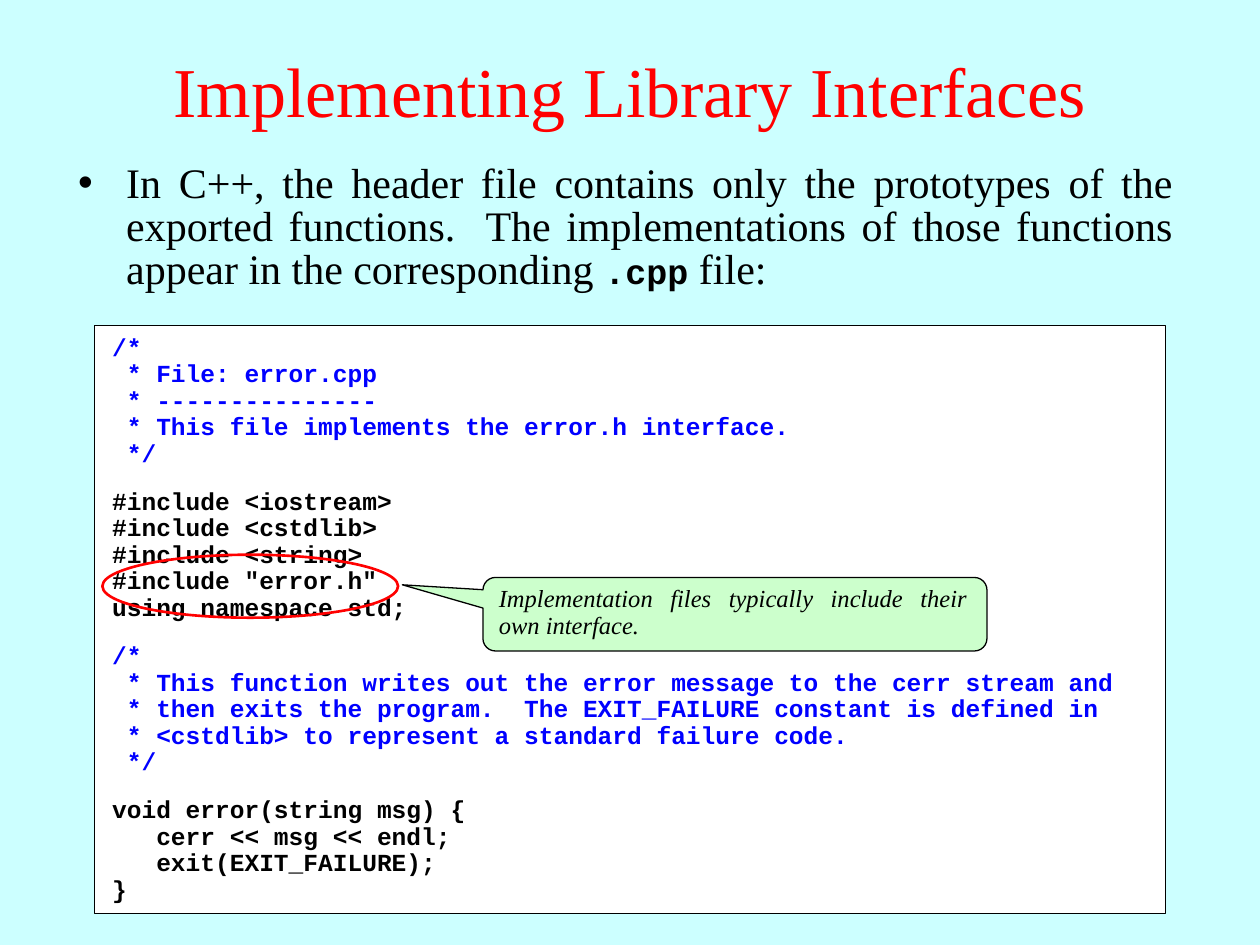
from lxml.etree import SubElement
from pptx import Presentation
from pptx.dml.color import RGBColor
from pptx.enum.shapes import MSO_SHAPE
from pptx.enum.text import MSO_ANCHOR, MSO_AUTO_SIZE, PP_ALIGN
from pptx.oxml.ns import qn
from pptx.util import Pt

COLORS = {
    "background": "CCFFFF",
    "title": "FF0000",
    "text": "000000",
    "comment": "0000FF",
    "panel": "FFFFFF",
    "callout": "CCFFCC",
    "highlight": "FF0000",
}
SERIF, MONO = "Times New Roman", "Courier New"
BLOCK_GAP = 12.4

FILE_COMMENT = """/*
 * File: error.cpp
 * ---------------
 * This file implements the error.h interface.
 */"""
INCLUDES = """#include <iostream>
#include <cstdlib>
#include <string>
#include "error.h"
using namespace std;"""
FUNCTION_COMMENT = """/*
 * This function writes out the error message to the cerr stream and
 * then exits the program.  The EXIT_FAILURE constant is defined in
 * <cstdlib> to represent a standard failure code.
 */"""
FUNCTION = """void error(string msg) {
   cerr << msg << endl;
   exit(EXIT_FAILURE);
}"""
CODE_BLOCKS = [
    ("comment", FILE_COMMENT),
    ("text", INCLUDES),
    ("comment", FUNCTION_COMMENT),
    ("text", FUNCTION),
]


def rgb(color):
    return RGBColor.from_string(COLORS[color])


def set_attributes(target, values):
    for name, value in values.items():
        setattr(target, name, value)


def place(shape, box):
    names = ("left", "top", "width", "height")
    set_attributes(shape, dict(zip(names, map(Pt, box))))


def add_run(paragraph, text, name, size, color="text", bold=False, italic=False):
    run = paragraph.add_run()
    run.text = text
    set_attributes(run.font, {"name": name, "size": Pt(size), "bold": bold, "italic": italic})
    run.font.color.rgb = rgb(color)


def add_outlined(shapes, kind, box, line, line_width, fill=None):
    shape = shapes.add_shape(kind, *map(Pt, box))
    shape.shadow.inherit = False
    if fill:
        shape.fill.solid()
        shape.fill.fore_color.rgb = rgb(fill)
    else:
        shape.fill.background()
    shape.line.color.rgb = rgb(line)
    shape.line.width = Pt(line_width)
    return shape


def add_text_frame(shapes, box):
    frame = shapes.add_textbox(*map(Pt, box)).text_frame
    frame.word_wrap = True
    return frame


def fill_title(title, box):
    place(title, box)
    frame = title.text_frame
    set_attributes(frame, {"vertical_anchor": MSO_ANCHOR.MIDDLE, "auto_size": MSO_AUTO_SIZE.NONE})
    heading = frame.paragraphs[0]
    heading.alignment = PP_ALIGN.CENTER
    add_run(heading, "Implementing Library Interfaces", SERIF, 40, "title")


def fill_body(body, box):
    place(body, box)
    body.text_frame.auto_size = MSO_AUTO_SIZE.NONE
    point = body.text_frame.paragraphs[0]
    properties = point._p.get_or_add_pPr()
    properties.set("marL", str(Pt(27.4)))
    properties.set("indent", str(-Pt(27.4)))
    SubElement(properties, qn("a:buChar")).set("char", "•")
    set_attributes(point, {"alignment": PP_ALIGN.JUSTIFY, "line_spacing": 0.85, "space_before": Pt(0)})
    add_run(point, "In C++, the header file contains only the prototypes of the exported "
            "functions.  The implementations of those functions appear in the "
            "corresponding ", SERIF, 24)
    add_run(point, ".cpp", MONO, 20, bold=True)
    add_run(point, " file:", SERIF, 24)


def add_code_panel(shapes, box):
    left, top, width, height = box
    add_outlined(shapes, MSO_SHAPE.RECTANGLE, box, "text", 0.75, "panel")
    frame = add_text_frame(shapes, (left + 3, top + 2, width - 4, height - 3))
    line = None
    for color, block in CODE_BLOCKS:
        for row, text in enumerate(block.splitlines()):
            gap = BLOCK_GAP if line and row == 0 else 0
            line = frame.add_paragraph() if line else frame.paragraphs[0]
            set_attributes(line, {"line_spacing": 0.9, "space_before": Pt(gap)})
            add_run(line, text, MONO, 14, color, bold=True)


def add_include_note(shapes, note_box, ring_box):
    """Ring the include line and explain it in a callout."""
    group = shapes.add_group_shape().shapes
    callout = add_outlined(group, MSO_SHAPE.ROUNDED_RECTANGULAR_CALLOUT, note_box,
                           "text", 0.75, "callout")
    for index, value in enumerate((-0.66, -0.4, 0.17)):
        callout.adjustments[index] = value
    add_outlined(group, MSO_SHAPE.OVAL, ring_box, "highlight", 1.5)
    left, top, width, height = note_box
    note = add_text_frame(group, (left + 2, top + 1.5, width - 6, height - 4)).paragraphs[0]
    set_attributes(note, {"alignment": PP_ALIGN.JUSTIFY, "line_spacing": 0.9})
    add_run(note, "Implementation files typically include their own interface.",
            SERIF, 14, italic=True)


def main():
    presentation = Presentation()
    set_attributes(presentation, {"slide_width": Pt(720), "slide_height": Pt(540)})
    slide = presentation.slides.add_slide(presentation.slide_layouts[1])
    slide.background.fill.solid()
    slide.background.fill.fore_color.rgb = rgb("background")
    fill_title(slide.shapes.title, (0, 6, 720, 90))
    fill_body(slide.placeholders[1], (37.5, 90.5, 640, 89.5))
    add_code_panel(slide.shapes, (54, 186, 612, 336))
    add_include_note(slide.shapes, (276, 330, 288, 42), (58.5, 317, 169, 36))
    presentation.save("out.pptx")


if __name__ == "__main__":
    main()
